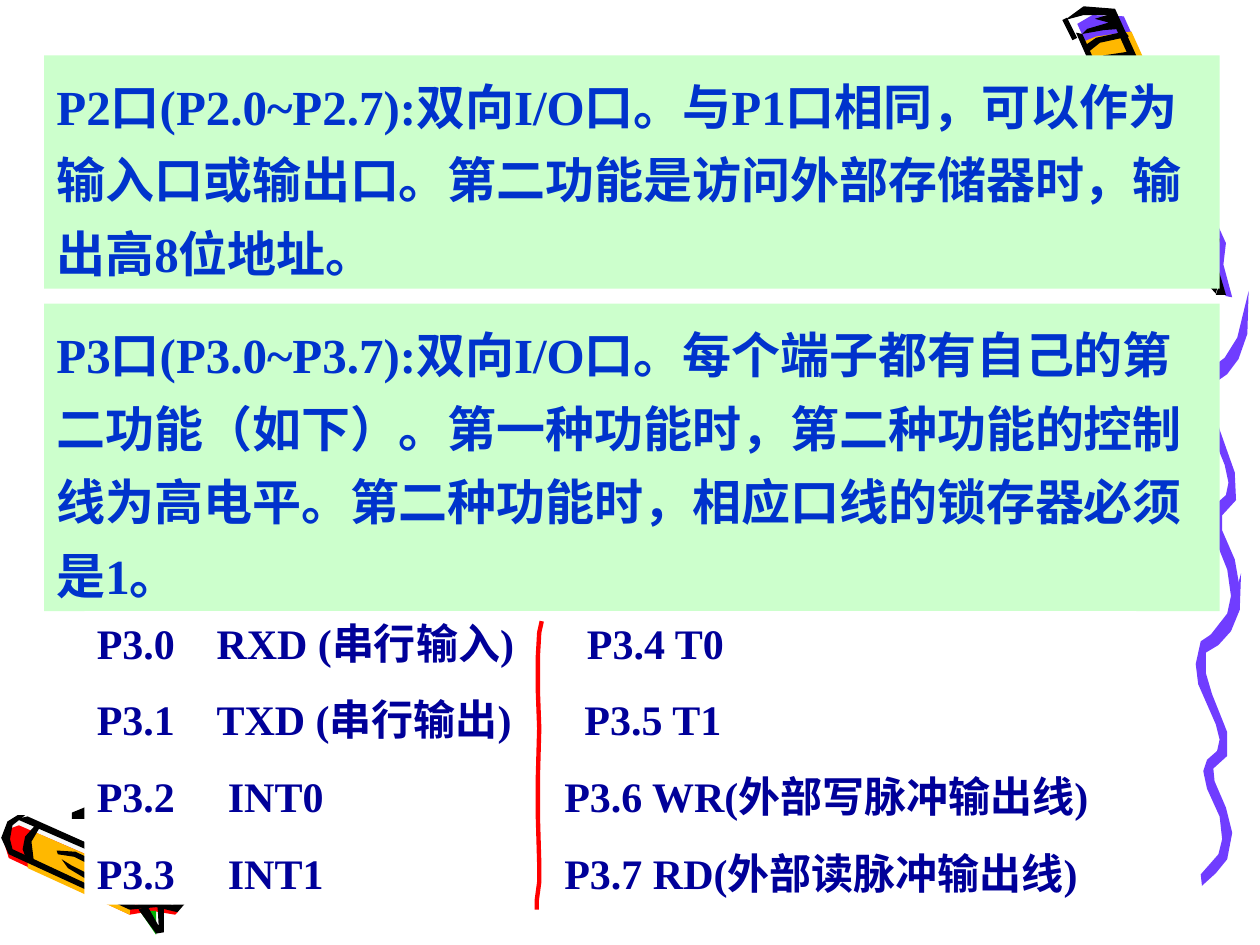
from lxml import etree
from pptx import Presentation
from pptx.dml.color import RGBColor
from pptx.enum.shapes import MSO_CONNECTOR, MSO_SHAPE
from pptx.enum.text import MSO_ANCHOR, PP_ALIGN
from pptx.oxml.ns import qn
from pptx.util import Inches, Pt

RECT = MSO_SHAPE.RECTANGLE
STRAIGHT = MSO_CONNECTOR.STRAIGHT
TOP = MSO_ANCHOR.TOP
LEFT = PP_ALIGN.LEFT
FONT = "Times New Roman"

COLORS = {
    "violet": "703DFF", "orange": "FFB800", "pale": "F8F8F8", "red": "FF0000",
    "green": "00B200", "yellow": "FFEF66", "black": "000000", "white": "FFFFFF",
    "mint": "CCFFCC", "blue": "0033CC", "navy": "000099",
}

# Each outline is a fill colour and its corners as x y pairs in inches.
CRAYON_TOP = [
    ("violet", "8.55 .19 9.37 2 9.56 2.14 9.73 2.35 9.78 2.36 9.71 2.1 9.73 1.93 "
               "8.92 .13 8.67 .12"),
    ("orange", "9.33 1.93 9.48 1.8 9.67 1.78 8.98 .25 8.7 .29 8.6 .33"),
]
CRAYON_LOW = [
    ("pale", "1.42 7.18 1.27 7.05 1.2 6.5 1.9 6.37 1.93 6.26 1.86 6.17 1.15 6.27 "
             "1.1 6.11 .98 6.09 .87 6.11 .81 6.18 .86 6.33 .61 6.47 .9 6.5 1.01 6.86 "
             ".16 6.49 .08 6.53 .04 6.64 .09 6.76 1.03 7.2 1.24 7.18 1.41 7.21"),
    ("red", ".15 6.55 1.19 7 1.27 7.11 1.41 7.24 1.39 7.26 1.21 7.23 1.03 7.26 "
            ".07 6.81 .03 6.68 .07 6.58"),
    ("orange", ".22 6.89 1.03 7.26 1.04 7.08 1.14 6.98 .29 6.61 .22 6.72"),
    ("green", "1.24 7.23 1.24 7.42 1.11 7.23 1.18 7.23"),
    ("yellow", ".84 6.41 .6 6.48 .87 6.53"),
    ("black", "1.1 7.22 1.24 7.41 1.3 7.4 1.3 7.2 1.25 7.18 1.26 7.35 1.17 7.19"),
    ("black", ".22 6.48 1.16 6.9 1.07 6.91 .13 6.5"),
    ("black", ".46 6.78 .59 6.8 .73 6.87 .83 6.96 .73 6.95 .57 6.87 .49 6.82 .54 6.89 "
              ".69 6.98 .86 7 .88 6.94 .79 6.85 .6 6.76 .45 6.75"),
    ("black", ".14 6.47 .06 6.52 .01 6.65 .07 6.78 1.03 7.22 1.24 7.2 1.41 7.24 "
              "1.47 7.17 1.31 7.05 1.25 6.92 1.2 6.93 1.26 7.05 1.38 7.18 1.24 7.16 "
              "1.07 7.18 1.1 7.04 1.17 6.94 1.09 6.95 1.02 7.04 1 7.16 .1 6.74 "
              ".08 6.66 .1 6.55 .2 6.47"),
    ("black", ".28 6.55 .2 6.64 .18 6.74 .21 6.82 .27 6.84 .25 6.68 .32 6.56"),
    ("black", ".83 6.3 .79 6.32 .79 6.36 .57 6.45 .57 6.5 .82 6.5 .85 6.54 .91 6.53 "
              ".9 6.47 .67 6.46 .86 6.38"),
]
WAVES = [
    ("violet", "9.53 6.94 9.67 6.78 9.7 6.66 9.68 6.48 9.58 6.26 9.55 6.12 9.58 6.03 "
               "9.66 5.96 9.68 5.87 9.65 5.75 9.51 5.43 9.49 5.27 9.53 5.09 9.65 5.01 "
               "9.76 4.87 9.85 4.55 9.84 4.84 9.77 5.01 9.67 5.12 9.57 5.18 9.57 5.34 "
               "9.62 5.51 9.74 5.81 9.74 6 9.63 6.1 9.64 6.2 9.73 6.41 9.78 6.61 "
               "9.74 6.82 9.65 6.93 9.54 7.03"),
    ("violet", "9.6 5.05 9.74 4.87 9.77 4.73 9.74 4.52 9.64 4.27 9.62 4.11 9.64 4.01 "
               "9.73 3.93 9.75 3.83 9.72 3.69 9.57 3.32 9.56 3.13 9.6 2.93 9.72 2.84 "
               "9.82 2.68 9.91 2.31 9.9 2.65 9.83 2.85 9.74 2.97 9.64 3.04 9.63 3.22 "
               "9.68 3.41 9.8 3.75 9.81 3.97 9.7 4.09 9.7 4.21 9.8 4.44 9.84 4.67 "
               "9.8 4.91 9.72 5.04 9.61 5.15"),
]
CRAYON_INK = [
    ("black", "9.29 1.99 9.45 2.11 9.65 2.33 9.66 2.29 9.49 2.09 9.31 1.94"),
    ("black", "8.59 .27 8.76 .24 8.89 .23 8.82 .11 8.69 .15 8.8 .18 8.63 .23"),
    ("black", "8.54 .26 9.26 1.89 9.28 1.8 8.59 .27"),
    ("black", "9.27 2 9.34 1.89 9.54 1.8 9.41 1.78 9.27 1.85 9.35 1.76 9.52 1.7 "
              "8.81 .12 8.6 .12 8.45 .16 8.6 .05 8.85 .07 9.68 1.9 9.65 2.07 9.73 2.34 "
              "9.65 2.34 9.67 2.28 9.61 2.1 9.5 2.13 9.45 2.1 9.58 2.06 9.52 2.01 "
              "9.59 1.96 9.47 1.97 9.52 1.89"),
    ("black", "8.65 .57 8.77 .49 8.99 .47 8.96 .41 8.76 .44 8.63 .53"),
    ("black", "8.63 .42 8.73 .34 8.96 .29 8.93 .25 8.7 .3 8.6 .37"),
]
DIVIDER = ("4.3 4.93 4.28 5.02 4.27 5.2 4.27 5.5 4.28 5.78 4.27 6.15 4.27 6.5 "
           "4.28 6.85 4.28 7 4.26 7.15 4.26 7.22")

PORTS = [
    (0.44, 1.85, "P2口(P2.0~P2.7):双向I/O口。与P1口相同，可以作为输入口或输出口。"
                 "第二功能是访问外部存储器时，输出高8位地址。"),
    (2.41, 2.44, "P3口(P3.0~P3.7):双向I/O口。每个端子都有自己的第二功能（如下）。"
                 "第一种功能时，第二种功能的控制线为高电平。"
                 "第二种功能时，相应口线的锁存器必须是1。"),
]
# Pin rows: the text and its tab stops in inches.
PINS = [
    ("P3.0\tRXD (串行输入)\tP3.4 T0", (0.95, 3.89)),
    ("P3.1\tTXD (串行输出)\tP3.5 T1", (0.95, 3.87)),
    ("P3.2\tINT0\tP3.6 WR(外部写脉冲输出线)", (1.04, 3.71)),
    ("P3.3\tINT1\tP3.7 RD(外部读脉冲输出线)", (1.04, 3.71)),
]


def tint(name):
    return RGBColor.from_string(COLORS[name])


def trace(slide, text, fill=None, line=None, width=1):
    """Draw an outline: closed when filled, open otherwise."""
    nums = [Inches(float(n)) for n in text.split()]
    start, *rest = zip(nums[::2], nums[1::2])
    pen = slide.shapes.build_freeform(*start)
    pen.add_line_segments(rest, close=fill is not None)
    shape = pen.convert_to_shape()
    shape.shadow.inherit = False
    if fill:
        shape.fill.solid()
        shape.fill.fore_color.rgb = tint(fill)
    else:
        shape.fill.background()
    if line:
        shape.line.color.rgb = tint(line)
        shape.line.width = Pt(width)
    else:
        shape.line.fill.background()


def stroke(slide, start, end, color, width):
    line = slide.shapes.add_connector(STRAIGHT, *map(Inches, start + end))
    line.line.color.rgb = tint(color)
    line.line.width = Pt(width)
    etree.SubElement(line._element.spPr, qn("a:effectLst"))


def panel(slide, left, top, width, height, fill):
    """Add a filled box and return its empty text frame."""
    box = slide.shapes.add_shape(RECT, *map(Inches, (left, top, width, height)))
    box.shadow.inherit = False
    box.fill.solid()
    box.fill.fore_color.rgb = tint(fill)
    box.line.fill.background()
    frame = box.text_frame
    frame.word_wrap = True
    frame.vertical_anchor = TOP
    return frame


def write(para, text, size, color, tabs=(), before=0, spacing=1.0):
    if tabs:
        stops = etree.SubElement(para._p.get_or_add_pPr(), qn("a:tabLst"))
        for pos in tabs:
            etree.SubElement(stops, qn("a:tab"), pos=str(Inches(pos)), algn="l")
    para.alignment = LEFT
    para.space_before = Pt(before)
    para.line_spacing = spacing
    run = para.add_run()
    run.text = text
    font = run.font
    font.name, font.size, font.bold = FONT, Pt(size), True
    font.color.rgb = tint(color)


def main():
    deck = Presentation()
    deck.slide_width, deck.slide_height = Inches(10), Inches(7.5)
    slide = deck.slides.add_slide(deck.slide_layouts[6])

    for fill, points in CRAYON_TOP + CRAYON_LOW + WAVES + CRAYON_INK:
        trace(slide, points, fill=fill)
    stroke(slide, (8.45, 0.15), (8.53, 0.31), "black", 3)

    for top, height, text in PORTS:
        frame = panel(slide, 0.35, top, 9.33, height, "mint")
        write(frame.paragraphs[0], text, 28, "blue", spacing=1.25)

    frame = panel(slide, 0.67, 4.85, 8.35, 2.33, "white")
    for i, (text, tabs) in enumerate(PINS):
        para = frame.add_paragraph() if i else frame.paragraphs[0]
        write(para, text, 24, "navy", tabs=tabs, before=15 if i else 0)
    trace(slide, DIVIDER, line="red", width=2.5)

    deck.save("out.pptx")


if __name__ == "__main__":
    main()
